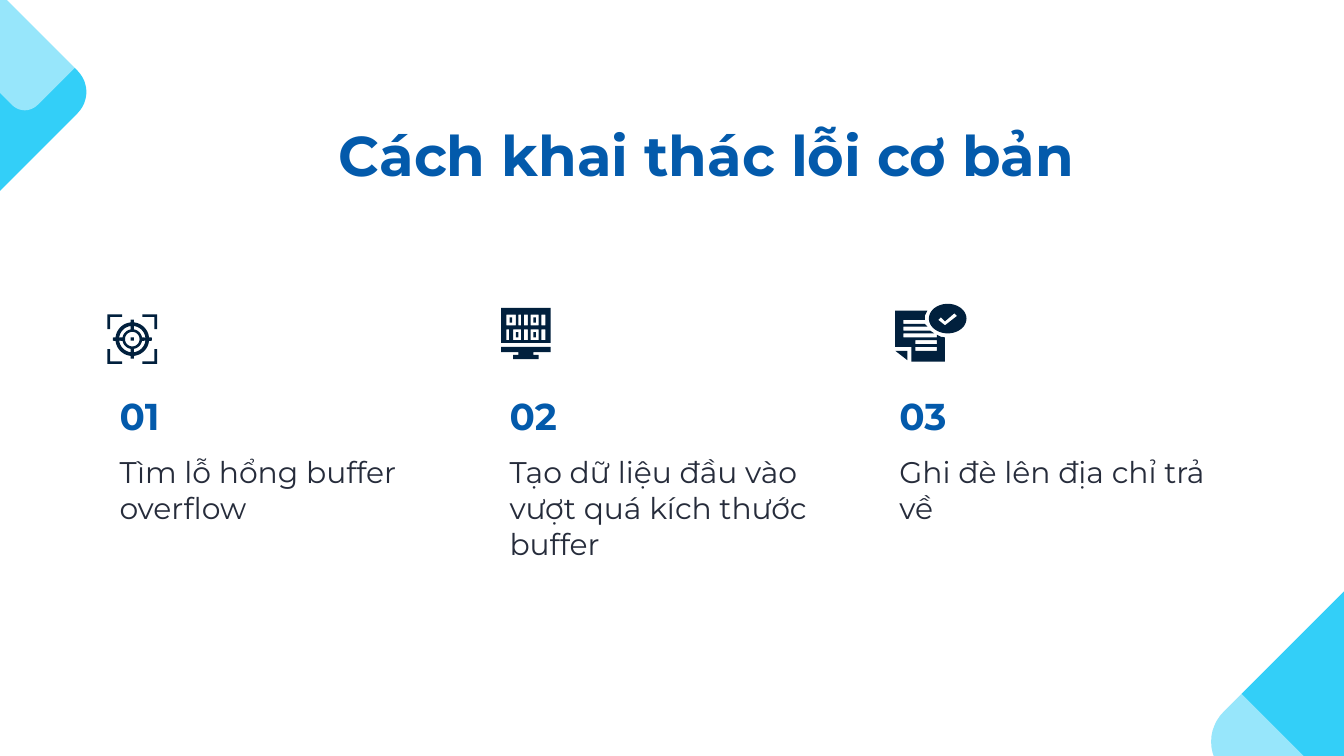
import math

import lxml.etree
import pptx
import pptx.dml.color
import pptx.enum.shapes
import pptx.enum.text
import pptx.oxml.ns
import pptx.util

Cm = pptx.util.Cm
RGBColor = pptx.dml.color.RGBColor
Anchor = pptx.enum.text.MSO_ANCHOR

CYAN = RGBColor(0x33, 0xCF, 0xF8)
WHITE = RGBColor(0xFF, 0xFF, 0xFF)
BLUE = RGBColor(0x03, 0x5A, 0xAB)
SLATE = RGBColor(0x26, 0x2C, 0x3B)
NAVY = RGBColor(0x01, 0x20, 0x3D)

GRID = Cm(2.54) / 100
COLUMN_LEFT, COLUMN_STEP, COLUMN_WIDTH = 2.01, 7.37, 6.68
STEPS = [
    "Tìm lỗ hổng buffer overflow",
    "Tạo dữ liệu đầu vào vượt quá kích thước buffer",
    "Ghi đè lên địa chỉ trả về",
]


def box(left, top, width, height):
    return [(left, top), (left + width, top),
            (left + width, top + height), (left, top + height)]


def arc(x, y, rx, ry, start=0, end=360, count=48):
    angles = [math.radians(start + (end - start) * i / count) for i in range(count + 1)]
    return [(x + rx * math.cos(a), y + ry * math.sin(a)) for a in angles]


def turned(points, quarter):
    for _ in range(quarter):
        points = [(-y, x) for x, y in points]
    return points


class Deck:
    """Holds the style and the current slide, and draws each kind of element."""

    font = "Montserrat"

    def __init__(self, width, height):
        self.presentation = pptx.Presentation()
        self.presentation.slide_width = Cm(width)
        self.presentation.slide_height = Cm(height)
        self.slide = self.presentation.slides.add_slide(self.presentation.slide_layouts[6])

    def paint(self, shape, color, alpha=None):
        shape.shadow.inherit = False
        shape.fill.solid()
        shape.fill.fore_color.rgb = color
        shape.line.fill.background()
        if alpha is not None:
            tint = shape.fill._xPr.find(".//" + pptx.oxml.ns.qn("a:srgbClr"))
            lxml.etree.SubElement(tint, pptx.oxml.ns.qn("a:alpha"), val=str(alpha * 1000))

    def outline(self, contours, left, top, color=NAVY, unit=GRID, alpha=None):
        placed = [[(Cm(left) + x * unit, Cm(top) + y * unit) for x, y in points]
                  for points in contours]
        builder = self.slide.shapes.build_freeform(*placed[0][0], scale=1.0)
        for index, points in enumerate(placed):
            if index:
                builder.move_to(*points[0])
            builder.add_line_segments(points[1:], close=True)
        self.paint(builder.convert_to_shape(), color, alpha)

    def rectangle(self, left, top, width, height):
        shape = self.slide.shapes.add_shape(
            pptx.enum.shapes.MSO_SHAPE.RECTANGLE, Cm(left), Cm(top), Cm(width), Cm(height))
        self.paint(shape, NAVY)

    def diamond(self, x, y, radius, color, alpha=None):
        knots = [(-0.16, -0.91), (-0.07, -1), (0.07, -1), (0.16, -0.91)]
        corner = []
        for i in range(13):
            t = i / 12
            weights = [math.comb(3, k) * t**k * (1 - t)**(3 - k) for k in range(4)]
            corner.append(tuple(sum(w * p[axis] for w, p in zip(weights, knots))
                                for axis in range(2)))
        points = [p for quarter in range(4) for p in turned(corner, quarter)]
        self.outline([points], x, y, color, Cm(radius), alpha)

    def text(self, words, left, top, width, height, size, color, bold=False,
             anchor=Anchor.TOP):
        frame = self.slide.shapes.add_textbox(
            Cm(left), Cm(top), Cm(width), Cm(height)).text_frame
        frame.word_wrap = True
        frame.vertical_anchor = anchor
        frame.margin_left = frame.margin_right = Cm(0.25)
        frame.margin_top = frame.margin_bottom = Cm(0.25)
        paragraph = frame.paragraphs[0]
        paragraph.text = words
        paragraph.font.name = self.font
        paragraph.font.size = pptx.util.Pt(size)
        paragraph.font.bold = bold
        paragraph.font.color.rgb = color
        return paragraph

    def target(self, left, top):
        x, y = left + 0.47, top + 0.47
        bracket = [(-18.5, -18.5), (-7.5, -18.5), (-7.5, -16.5),
                   (-16.5, -16.5), (-16.5, -7.5), (-18.5, -7.5)]
        rim = [(14.5, -1.2), (14.5, 1.2)] + arc(0, 0, 12.5, 12.5, 6, 84, 16)
        gap = arc(0, 0, 9.8, 9.8, 7, 83, 16) + arc(0, 0, 7.3, 7.3, 80, 10, 16)
        for quarter in range(4):
            self.outline([turned(bracket, quarter)], x, y)
        ring = [p for quarter in range(4) for p in turned(rim, quarter)]
        gaps = [turned(gap, quarter) for quarter in range(4)]
        self.outline([ring, *gaps, arc(0, 0, 5.4, 5.4)], x, y)
        self.rectangle(x - 0.03, y - 0.03, 0.06, 0.06)

    def monitor(self, left, top):
        digits = {5: [(4, 7), (13, 2), (17, 3), (22, 6), (30, 3)],
                  16: [(4, 2), (9, 6), (17, 3), (22, 6), (30, 3)]}
        cells = [box(x, y, width, 8) for y, row in digits.items() for x, width in row]
        self.outline([box(0, 0, 37, 26), *cells], left, top)
        stand = [(0, 29), (37, 29), (37, 33), (24, 33), (24, 35), (28, 35),
                 (28, 38), (9, 38), (9, 35), (13, 35), (13, 33), (0, 33)]
        self.outline([stand], left, top)
        for x, y in [(0.16, 0.18), (0.61, 0.18), (0.28, 0.46), (0.61, 0.46)]:
            self.rectangle(left + x, top + y, 0.05, 0.1)

    def document(self, left, top):
        page = [(0, 0), (24, 0), (22, 4), (22, 7), (6, 7), (6, 10), (22, 10),
                (24, 12), (6, 12), (6, 15), (26, 15), (29, 17), (6, 17), (6, 20),
                (31, 20), (31, 18), (34, 19.5), (37, 20), (37, 38), (12, 38),
                (12, 27), (0, 27)]
        tick = [(37, 11), (32, 7), (34, 5), (37, 8), (44, 2), (46, 4)]
        self.outline([arc(39, 6, 14, 11), tick], left, top)
        self.outline([[(0, 30), (9, 30), (9, 37)]], left, top)
        self.outline([page, box(15, 22, 16, 3), box(15, 27, 16, 3)], left, top)


def main():
    deck = Deck(25.4, 14.29)
    deck.diamond(26.37, 14.02, 3.56, CYAN)
    deck.diamond(23.16, 15.09, 2.13, WHITE, 49)
    deck.diamond(-0.85, 1.74, 2.54, CYAN)
    deck.diamond(0.47, 0.6, 1.52, WHITE, 49)

    heading = deck.text("Cách khai thác lỗi cơ bản", 2.01, 1.83, 21.41, 2.21, 30, BLUE, True)
    heading.alignment = pptx.enum.text.PP_ALIGN.CENTER
    heading.line_spacing = 1.15
    heading._p.get_or_add_pPr().set("indent", str(Cm(1.27)))

    for index, step in enumerate(STEPS):
        left = COLUMN_LEFT + index * COLUMN_STEP
        deck.text(step, left, 8.33, COLUMN_WIDTH, 1.93, 16, SLATE)
        deck.text(f"{index + 1:02}", left, 7.44, COLUMN_WIDTH, 1.09, 20, BLUE, True,
                  Anchor.BOTTOM)

    deck.target(2.03, 5.94)
    deck.monitor(9.47, 5.82)
    deck.document(16.92, 5.87)
    deck.presentation.save("out.pptx")


if __name__ == "__main__":
    main()
